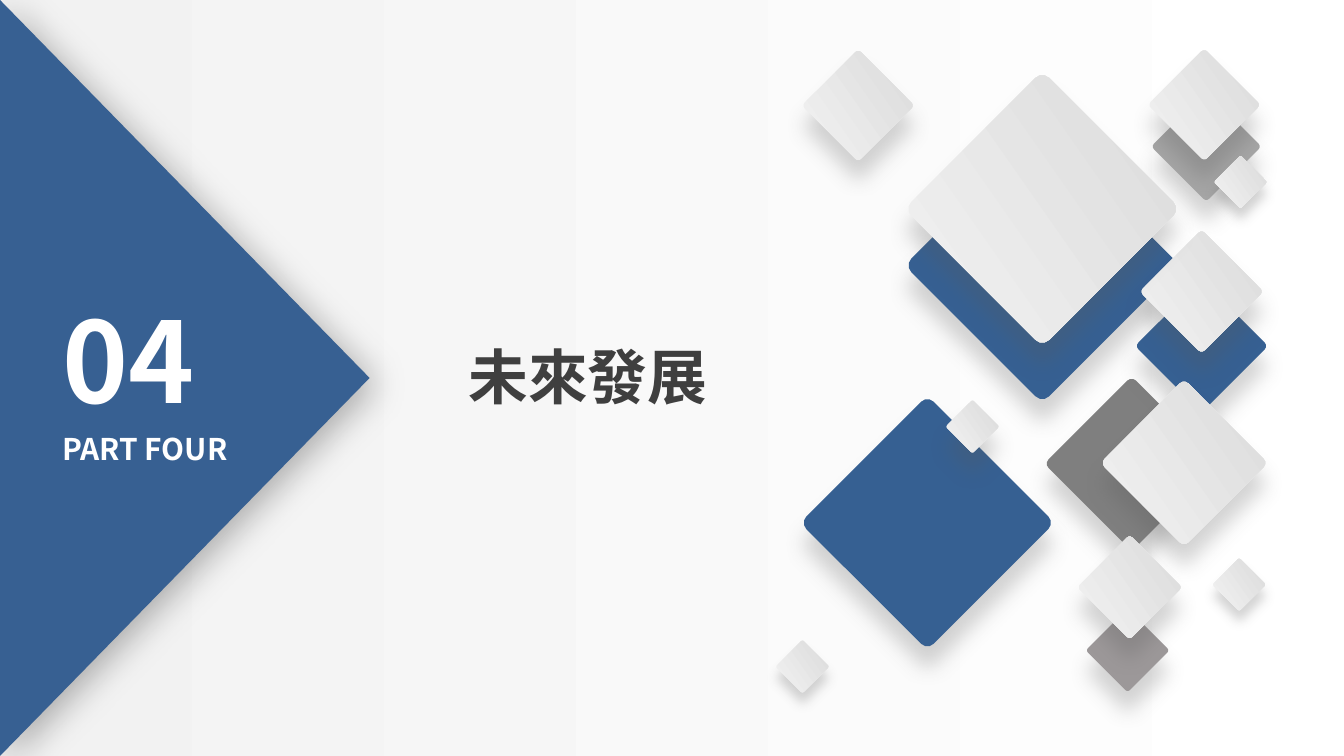
from lxml import etree
from pptx import Presentation, util as u
from pptx.dml.color import RGBColor
from pptx.enum import shapes, text
from pptx.oxml.ns import qn

WIDE = u.Inches(10)
HIGH = WIDE * 9 // 16
FONT = "Noto Sans CJK SC"
BLUE, PALE = "366092", ("F2F2F2", "DBDBDB")
DEEP, FLAT = (11, 11), (6, 6)
TILES = [
    (83.9, 48.4, 4.4, "9C9899", DEEP),
    (77.55, 19.75, 14.5, BLUE, DEEP),
    (69, 38.9, 13.4, BLUE, DEEP),
    (84.2, 34.5, 9.2, "7F7F7F", DEEP),
    (89.4, 25.75, 7, BLUE, DEEP),
    (89.75, 10.9, 5.8, "A5A5A5", DEEP),
    (63.85, 7.85, 5.9, PALE, DEEP),
    (89.6, 7.8, 5.9, PALE, DEEP),
    (89.4, 21.7, 6.5, PALE, DEEP),
    (77.55, 15.55, 14.5, PALE, DEEP),
    (88.1, 34.45, 8.8, PALE, DEEP),
    (84.05, 43.7, 5.5, PALE, DEEP),
    (59.7, 49.6, 2.8, PALE, FLAT),
    (92.2, 43.5, 2.8, PALE, FLAT),
    (92.3, 13.55, 2.8, PALE, FLAT),
    (72.35, 31.75, 2.8, PALE, DEEP),
]


def share(part):
    return round(WIDE * part / 100)


def tint(code):
    return RGBColor.from_string(code)


def paint(fill, hue, angle=0):
    if isinstance(hue, str):
        fill.solid()
        fill.fore_color.rgb = tint(hue)
        return
    fill.gradient()
    fill.gradient_angle = angle
    for stop, code in zip(fill.gradient_stops, hue):
        stop.color.rgb = tint(code)


def shade(form, code, alpha, blur, gap, angle):
    form.shadow.inherit = False
    glow = form._element.spPr.find(qn("a:effectLst"))
    cast = etree.SubElement(
        glow, qn("a:outerShdw"), blurRad=str(u.Pt(blur)), dist=str(u.Pt(gap)),
        dir=str(angle * 60000), algn="ctr", rotWithShape="0")
    hue = etree.SubElement(cast, qn("a:srgbClr"), val=code)
    etree.SubElement(hue, qn("a:alpha"), val=str(alpha * 1000))


def block(slide, kind, mid, size, hue, angle=0, turn=0):
    (x, y), (w, h) = mid, size
    form = slide.shapes.add_shape(
        kind, round(x - w / 2), round(y - h / 2), w, h)
    form.rotation = turn
    form.line.fill.background()
    form.shadow.inherit = False
    paint(form.fill, hue, angle)
    return form


def tile(slide, x, y, side, hue, cast):
    form = block(slide, shapes.MSO_SHAPE.ROUNDED_RECTANGLE,
                 (share(x), share(y)), (share(side), share(side)),
                 hue, 80, 45)
    form.adjustments[0] = 0.05
    shade(form, "595959", 25, *cast, 90)


def label(slide, words, x, y, w, h, size, hue):
    box = slide.shapes.add_textbox(share(x), share(y), share(w), share(h))
    frame = box.text_frame
    frame.word_wrap = True
    frame.auto_size = text.MSO_AUTO_SIZE.SHAPE_TO_FIT_TEXT
    frame.margin_left = frame.margin_right = u.Inches(0.075)
    frame.margin_top = frame.margin_bottom = u.Inches(0.04)
    para = frame.paragraphs[0]
    para.text = words
    font = para.font
    font.size, font.bold, font.name = u.Pt(size), True, FONT
    font.color.rgb = tint(hue)
    base = para._p.pPr.find(qn("a:defRPr"))
    etree.SubElement(base, qn("a:ea"), typeface=FONT)


def main():
    deck = Presentation()
    deck.slide_width, deck.slide_height = WIDE, HIGH
    slide = deck.slides.add_slide(deck.slide_layouts[6])
    paint(slide.background.fill, ("FAFAFA", "FCFCFC"), 270)
    block(slide, shapes.MSO_SHAPE.RECTANGLE, (WIDE / 2, HIGH / 2),
          (WIDE, HIGH), ("F2F2F2", "FFFFFF"))
    depth = share(27.5)
    wedge = block(slide, shapes.MSO_SHAPE.ISOSCELES_TRIANGLE,
                  (depth / 2, HIGH / 2), (HIGH, depth), "376092", turn=90)
    shade(wedge, "000000", 30, 20, 5, 45)
    label(slide, "未來發展", 34.1, 24.9, 19.5, 6.1, 32, "3F3F3F")
    label(slide, "04", 3.9, 21.3, 12.7, 10.9, 60, "FFFFFF")
    label(slide, "PART FOUR", 3.9, 31.65, 14.7, 3.5, 16, "FFFFFF")
    for row in TILES:
        tile(slide, *row)
    deck.save("out.pptx")


if __name__ == "__main__":
    main()
